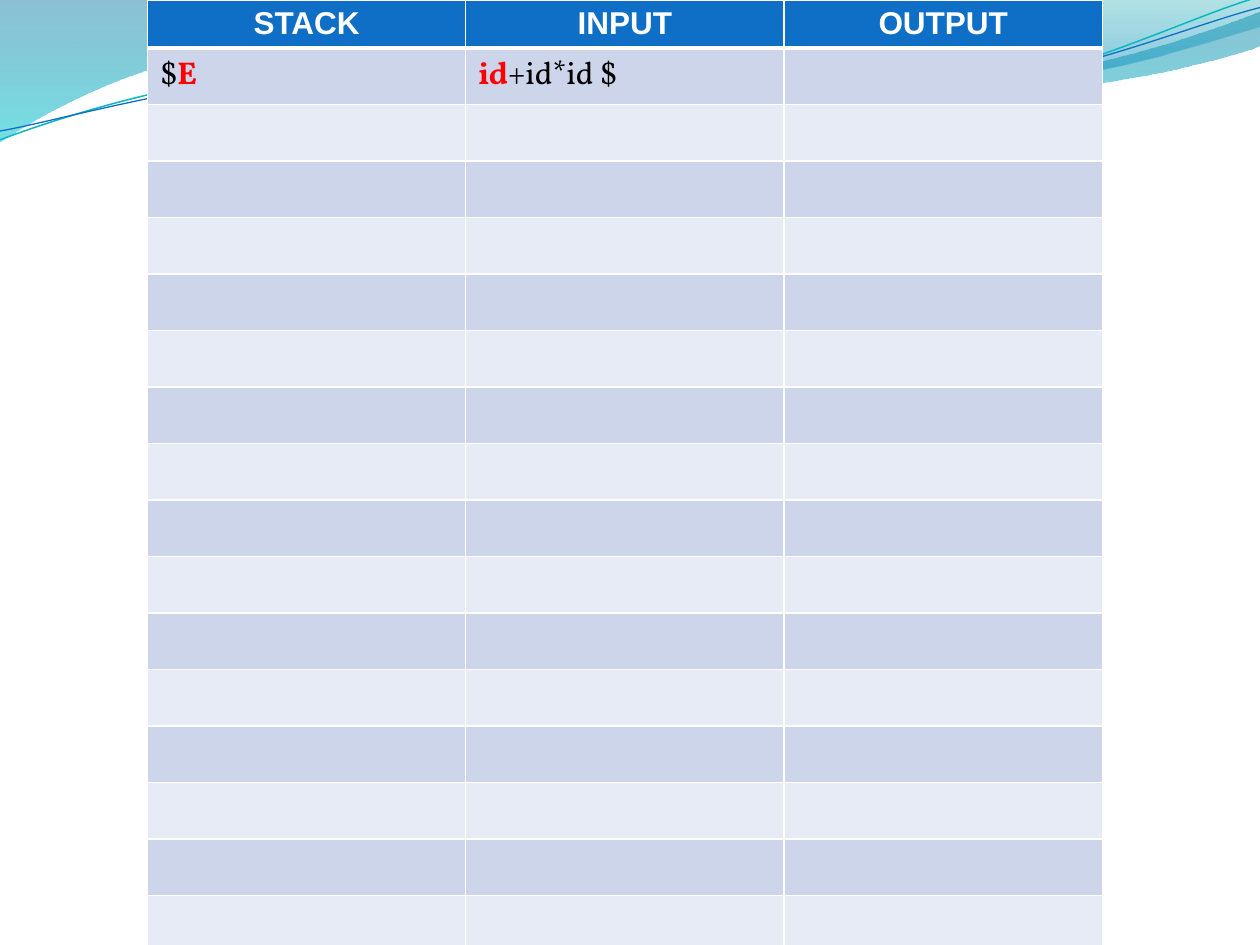
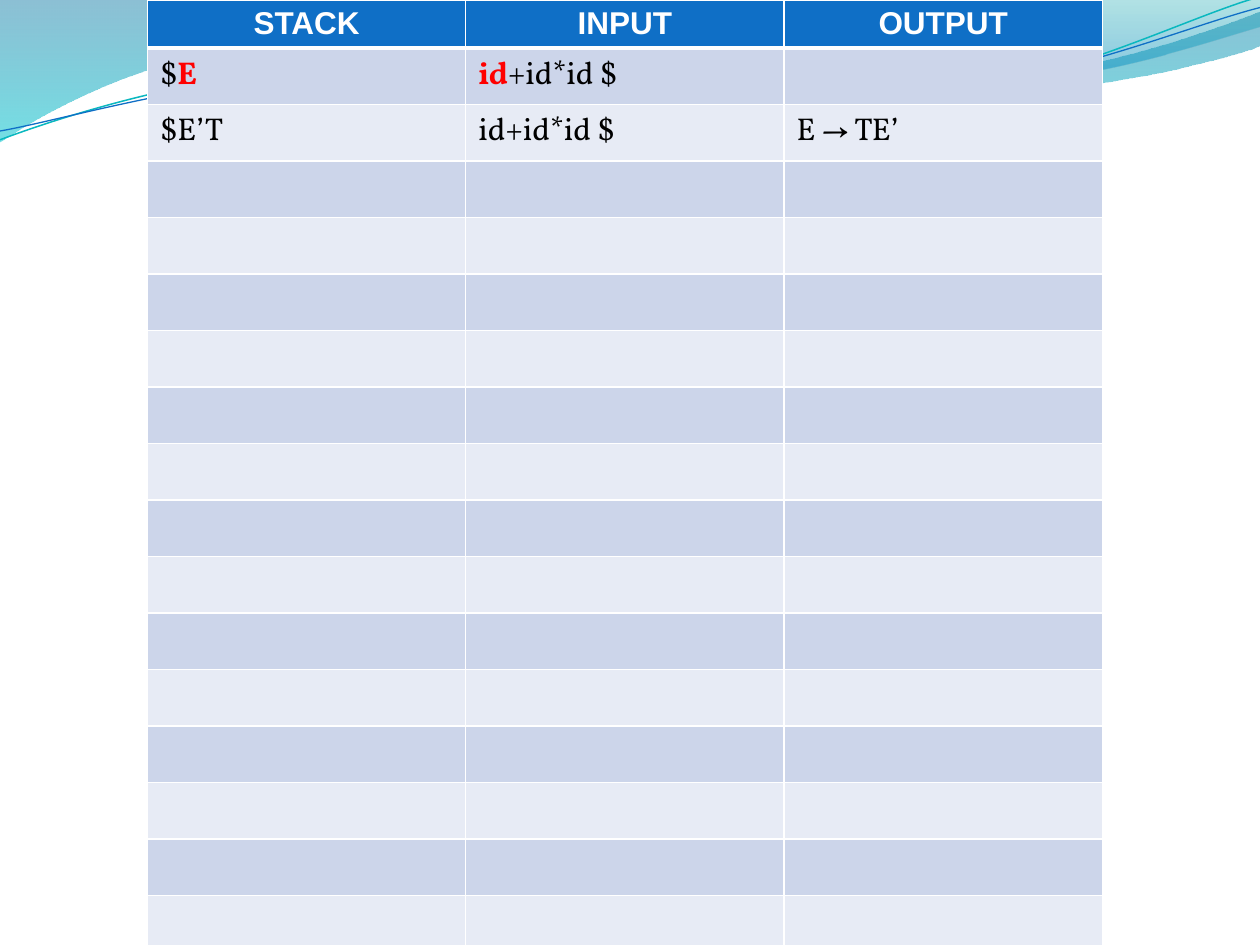
"""Build two slides that trace a predictive parser's stack, input and output."""
from lxml import etree
from pptx import Presentation
from pptx import util as u
from pptx.dml.color import RGBColor
from pptx.enum import text
from pptx.oxml.ns import qn

COLOURS = {
    "header": "0F6FC6", "odd_row": "CCD5EA", "even_row": "E7EBF5",
    "white": "FFFFFF", "black": "000000", "red": "FF0000",
    "deep_blue": "0074A1", "aqua": "00C6CF", "teal": "00A1A9",
    "sky": "008BBF", "teal_line": "0AB8BF", "blue_line": "0F6FC6",
}
HEADINGS = ("STACK", "INPUT", "OUTPUT")
BODY_ROWS = 17

LEFT_WAVE = [
    (0, -0.01), (4.4, -0.01),
    (4.76, 0.17, 6.64, 0.63, 7.58, 0.63), (8.53, 0.63, 9.58, 0.26, 10, 0.09),
    (10.01, 0.36),
    (9.83, 0.44, 8.7, 0.76, 7.46, 0.75), (6.22, 0.75, 3.82, 0.28, 2.57, 0.34),
    (1.29, 0.35, 0.46, 0.83, -0.01, 1.13), (0, -0.01),
]
RIGHT_WAVE = [
    (4.79, -0.01),
    (5.09, 0.11, 6.82, 0.62, 7.69, 0.65), (8.56, 0.69, 9.61, 0.32, 10, 0.21),
    (10, 0), (4.79, -0.01),
]
TEAL_STROKE = [
    (0, 1.11),
    (0.48, 0.93, 1.58, 0.57, 2.77, 0.52), (3.95, 0.47, 5.93, 0.89, 7.13, 0.8),
    (8.33, 0.71, 9.38, 0.15, 9.98, -0.02),
]
BLUE_STROKE = [
    (0, 1.04),
    (0.47, 0.96, 1.64, 0.61, 2.83, 0.56), (4.03, 0.51, 5.97, 0.83, 7.17, 0.75),
    (8.36, 0.67, 9.41, 0.21, 10, 0.06),
]

START_STEP = (
    [("$", False), ("E", True)],
    [("id", True), ("+id*id $", False)],
    [],
)
EXPAND_STEP = (
    [("$E’T", False)],
    [("id+id*id $", False)],
    [("E → TE’", False)],
)


def colour(name):
    return RGBColor.from_string(COLOURS[name])


class ParserDeck:
    def __init__(self):
        self.deck = Presentation()
        self.deck.slide_width = u.Inches(10)
        self.deck.slide_height = u.Inches(7.5)
        self.layout = self.deck.slide_layouts[6]
        for holder in list(self.layout.placeholders):
            holder.element.getparent().remove(holder.element)
        self.slide = None

    def new_slide(self):
        self.slide = self.deck.slides.add_slide(self.layout)

    def outline(self, segments, close):
        ends = [(u.Inches(segment[-2]), u.Inches(segment[-1])) for segment in segments]
        builder = self.slide.shapes.build_freeform(*ends[0])
        builder.add_line_segments(ends[1:], close=close)
        shape = builder.convert_to_shape()
        shape.shadow.inherit = False
        lines = shape.element.findall(".//" + qn("a:lnTo"))
        for line, segment in zip(lines, segments[1:]):
            if len(segment) == 6:
                self.bend(shape, line, segment)
        return shape

    def bend(self, shape, line, segment):
        curve = etree.Element(qn("a:cubicBezTo"))
        for x, y in zip(segment[::2], segment[1::2]):
            etree.SubElement(curve, qn("a:pt"), x=str(u.Inches(x) - shape.left),
                             y=str(u.Inches(y) - shape.top))
        line.getparent().replace(line, curve)

    def wave(self, segments, *stops):
        shape = self.outline(segments, True)
        shape.line.fill.background()
        shape.fill.gradient()
        shape.fill.gradient_angle = 270
        marks = shape.element.findall(".//" + qn("a:gs"))
        for stop, mark, (position, name, opacity) in zip(
                shape.fill.gradient_stops, marks, stops):
            stop.position = position
            stop.color.rgb = colour(name)
            etree.SubElement(mark[0], qn("a:alpha"), val=str(opacity * 1000))
        return shape

    def stroke(self, segments, name, width):
        shape = self.outline(segments, False)
        shape.fill.background()
        shape.line.color.rgb = colour(name)
        shape.line.width = u.Pt(width)
        return shape

    def share_waves(self):
        waves = [
            self.wave(LEFT_WAVE, (0, "deep_blue", 45), (1, "aqua", 55)),
            self.wave(RIGHT_WAVE, (0, "teal", 30), (0.8, "sky", 45)),
            self.stroke(TEAL_STROKE, "teal_line", 0.85),
            self.stroke(BLUE_STROKE, "blue_line", 0.75),
        ]
        for shape in waves:
            self.layout.shapes.element.append(shape.element)

    def borders(self, cell, top, bottom):
        properties = cell._tc.get_or_add_tcPr()
        sides = (("L", 1), ("R", 1), ("T", top), ("B", bottom))
        for index, (side, width) in enumerate(sides):
            line = etree.Element(qn("a:ln" + side), w=str(u.Pt(width)))
            fill = etree.SubElement(line, qn("a:solidFill"))
            etree.SubElement(fill, qn("a:srgbClr"), val=COLOURS["white"])
            properties.insert(index, line)

    def cell(self, cell, fill, top=1, bottom=1):
        cell.fill.solid()
        cell.fill.fore_color.rgb = colour(fill)
        self.borders(cell, top, bottom)

    def heading(self, cell, words):
        self.cell(cell, "header", bottom=3)
        para = cell.text_frame.paragraphs[0]
        para.text = words
        para.alignment = text.PP_ALIGN.CENTER
        para.font.name = "Arial"
        para.font.size = u.Pt(18)
        para.font.bold = True
        para.font.color.rgb = colour("white")

    def spans(self, cell, parts):
        para = cell.text_frame.paragraphs[0]
        para.font.name = "Vollkorn"
        para.font.size = u.Pt(18)
        for words, active in parts:
            span = para.add_run()
            span.text = words
            span.font.bold = active
            span.font.color.rgb = colour("red" if active else "black")

    def parse_table(self, steps):
        header_height = u.Inches(0.38)
        row_height = u.Inches(6.73) // 15
        frame = self.slide.shapes.add_table(
            BODY_ROWS + 1, len(HEADINGS), u.Inches(1.17), 0,
            u.Inches(7.58), header_height + BODY_ROWS * row_height)
        table = frame.table
        table.rows[0].height = header_height
        for column, words in enumerate(HEADINGS):
            self.heading(table.cell(0, column), words)
        for row in range(1, BODY_ROWS + 1):
            table.rows[row].height = row_height
            for column in range(len(HEADINGS)):
                self.cell(table.cell(row, column),
                          "odd_row" if row % 2 else "even_row",
                          top=3 if row == 1 else 1)
        for row, step in enumerate(steps, 1):
            for column, parts in enumerate(step):
                if parts:
                    self.spans(table.cell(row, column), parts)


def main():
    parser = ParserDeck()
    parser.new_slide()
    parser.share_waves()
    parser.parse_table([START_STEP])
    parser.new_slide()
    parser.parse_table([START_STEP, EXPAND_STEP])
    parser.deck.save("out.pptx")


if __name__ == "__main__":
    main()
